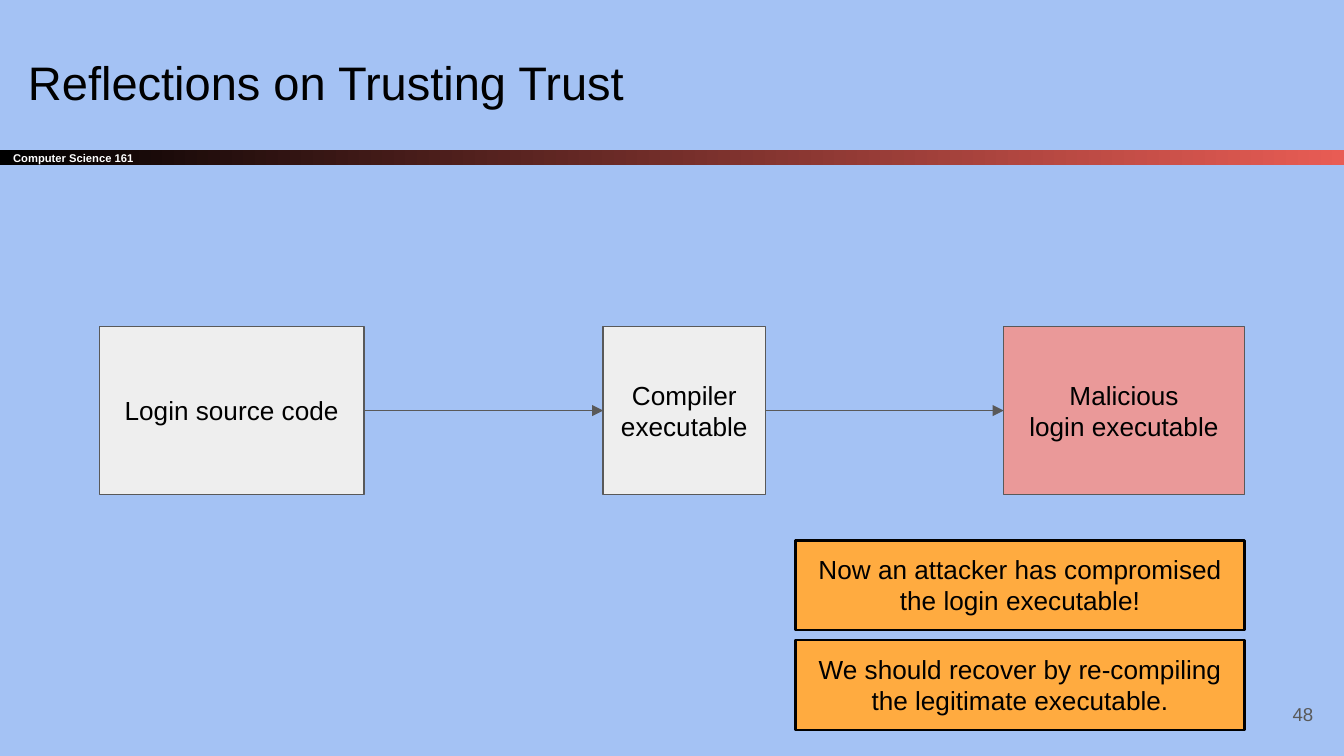
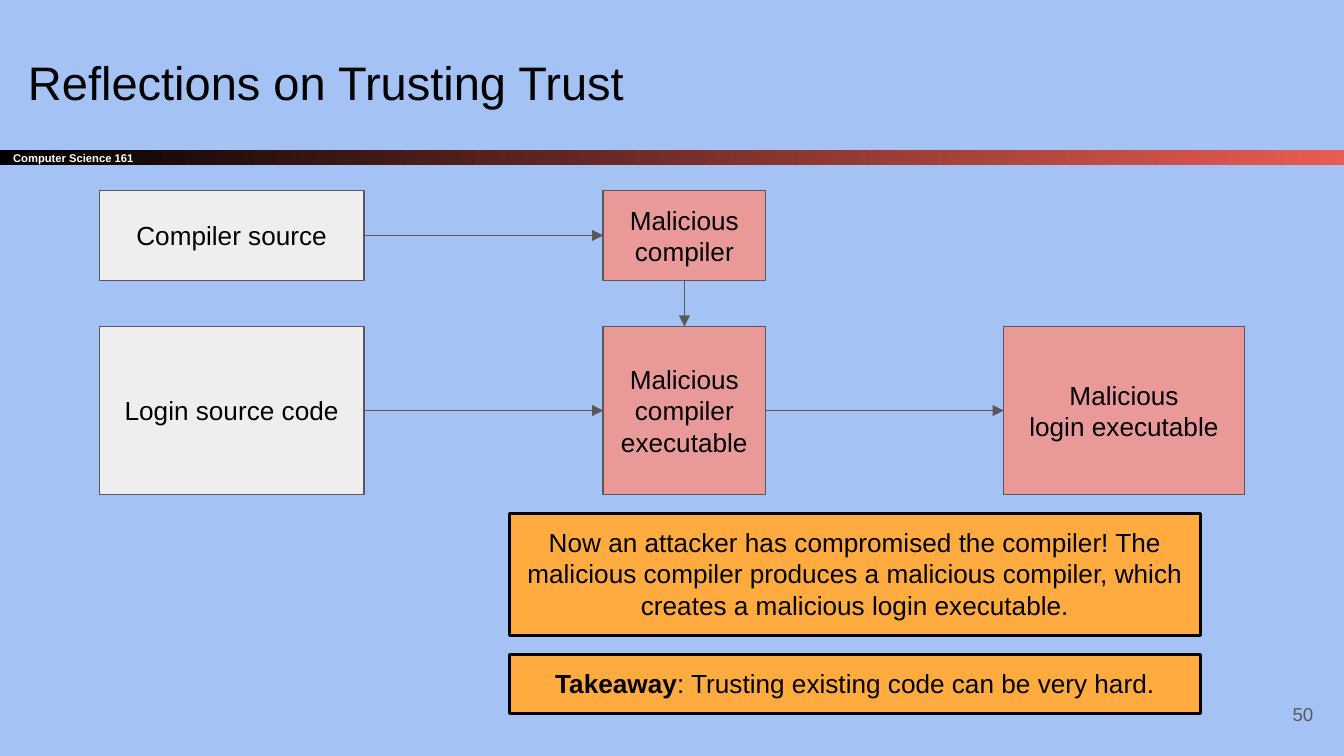
from dataclasses import dataclass

from lxml import etree
from pptx import Presentation
from pptx import util as u
from pptx.dml.color import RGBColor
from pptx.enum import shapes, text
from pptx.oxml import ns

SKY = RGBColor(0xA4, 0xC2, 0xF4)
BLACK = RGBColor(0, 0, 0)
WHITE = RGBColor(0xFF, 0xFF, 0xFF)
CORAL = RGBColor(0xE8, 0x5C, 0x54)
GREY = RGBColor(0x59, 0x59, 0x59)
NEUTRAL = RGBColor(0xEE, 0xEE, 0xEE)
MALICIOUS = RGBColor(0xEA, 0x99, 0x99)
ORANGE = RGBColor(0xFF, 0xAB, 0x40)

FONT = "Arial"
WIDTH, HEIGHT = 25.4, 14.29
TITLE = "Reflections on Trusting Trust"
COURSE = "Computer Science 161"
TOP, LEFT, BOTTOM, RIGHT = range(4)  # connection sites of a rectangle


@dataclass(frozen=True)
class Style:
    """Character and paragraph look of a text."""
    size: float
    color: RGBColor = BLACK
    bold: bool = False
    align: text.PP_ALIGN = text.PP_ALIGN.LEFT
    anchor: text.MSO_ANCHOR = text.MSO_ANCHOR.MIDDLE


@dataclass(frozen=True)
class Area:
    """A rectangle on the slide, in centimetres."""
    left: float
    top: float
    width: float
    height: float

    def lengths(self):
        """Return the four values as lengths."""
        return [u.Cm(v) for v in (self.left, self.top, self.width, self.height)]


@dataclass(frozen=True)
class Stage:
    """A box of the build chain; each line of its label is a paragraph."""
    column: tuple[float, float]
    row: tuple[float, float]
    label: str
    fill: RGBColor = NEUTRAL


@dataclass(frozen=True)
class Note:
    """An orange remark with an optional bold lead."""
    area: Area
    body: str
    lead: str = ""


TITLE_STYLE = Style(25.2, anchor=text.MSO_ANCHOR.TOP)
COURSE_STYLE = Style(6, WHITE, bold=True)
NUMBER_STYLE = Style(10, GREY, align=text.PP_ALIGN.RIGHT)
STAGE_STYLE = Style(14, align=text.PP_ALIGN.CENTER)
NOTE_STYLE = Style(14, align=text.PP_ALIGN.CENTER, anchor=text.MSO_ANCHOR.TOP)

# Columns are (left, width), rows are (top, height).
SOURCE_COL, COMPILER_COL, OUTPUT_COL = (1.88, 5), (11.4, 3.07), (18.97, 4.55)
COMPILER_ROW, LOGIN_ROW = (3.6, 1.7), (6.17, 3.18)

LOGIN_SOURCE = Stage(SOURCE_COL, LOGIN_ROW, "Login source code")
BAD_LOGIN = Stage(OUTPUT_COL, LOGIN_ROW, "Malicious\vlogin executable", MALICIOUS)


def add_run(paragraph, words: str, style: Style, bold: bool) -> None:
    """Append one formatted run."""
    run = paragraph.add_run()
    run.text = words
    run.font.name = FONT
    run.font.size = u.Pt(style.size)
    run.font.color.rgb = style.color
    run.font.bold = bold


def write(shape, words: str, style: Style, lead: str = "") -> None:
    """Fill a shape with text: newline is a paragraph, \\v a line break."""
    frame = shape.text_frame
    frame.word_wrap = True
    frame.vertical_anchor = style.anchor
    frame.margin_left = frame.margin_right = u.Cm(0.25)
    frame.margin_top = frame.margin_bottom = u.Cm(0.25)
    for i, line in enumerate(words.split("\n")):
        paragraph = frame.add_paragraph() if i else frame.paragraphs[0]
        paragraph.alignment = style.align
        if lead and not i:
            add_run(paragraph, lead, style, True)
        for j, part in enumerate(line.split("\v")):
            if j:
                paragraph.add_line_break()
            add_run(paragraph, part, style, style.bold)


def add_box(slide, area: Area):
    """Add a rectangle without a shadow."""
    box = slide.shapes.add_shape(shapes.MSO_SHAPE.RECTANGLE, *area.lengths())
    box.shadow.inherit = False
    return box


def paint(box, fill: RGBColor, line: RGBColor, weight: float) -> None:
    """Set a solid fill and an outline."""
    box.fill.solid()
    box.fill.fore_color.rgb = fill
    box.line.color.rgb = line
    box.line.width = u.Pt(weight)


def add_stage(slide, stage: Stage):
    """Draw a box of the build chain."""
    (left, width), (top, height) = stage.column, stage.row
    box = add_box(slide, Area(left, top, width, height))
    paint(box, stage.fill, GREY, 0.75)
    write(box, stage.label, STAGE_STYLE)
    return box


def add_note(slide, note: Note) -> None:
    """Draw an orange remark."""
    box = add_box(slide, note.area)
    paint(box, ORANGE, BLACK, 1.5)
    write(box, note.body, NOTE_STYLE, note.lead)


def add_arrow(slide, start, end, out_site: int = RIGHT, in_site: int = LEFT) -> None:
    """Join two boxes with an arrow."""
    arrow = slide.shapes.add_connector(shapes.MSO_CONNECTOR.STRAIGHT, 0, 0, 0, 0)
    arrow.begin_connect(start, out_site)
    arrow.end_connect(end, in_site)
    arrow.line.color.rgb = GREY
    arrow.line.width = u.Pt(0.75)
    etree.SubElement(arrow.line._get_or_add_ln(), ns.qn("a:tailEnd"), type="triangle")
    etree.SubElement(arrow._element.spPr, ns.qn("a:effectLst"))


def add_band(slide) -> None:
    """Draw the gradient band with the course name."""
    band = add_box(slide, Area(0, 2.83, WIDTH, 0.3))
    band.fill.gradient()
    band.fill.gradient_angle = 0
    for stop, color, position in zip(band.fill.gradient_stops, (BLACK, CORAL), (0, 1)):
        stop.color.rgb = color
        stop.position = position
    band.line.fill.background()
    write(band, COURSE, COURSE_STYLE)


def add_slide(deck, number: int):
    """Start a slide with background, band, title and number."""
    slide = deck.slides.add_slide(deck.slide_layouts[6])
    slide.background.fill.solid()
    slide.background.fill.fore_color.rgb = SKY
    add_band(slide)
    title = slide.shapes.add_textbox(*Area(0.28, 0.76, 23.67, 1.6).lengths())
    write(title, TITLE, TITLE_STYLE)
    page = slide.shapes.add_textbox(*Area(23.55, 12.95, 1.52, 1.09).lengths())
    write(page, str(number), NUMBER_STYLE)
    return slide


def add_login_chain(slide, compiler: Stage):
    """Draw source, compiler and login executable; return the compiler box."""
    source, middle, output = [
        add_stage(slide, stage) for stage in (LOGIN_SOURCE, compiler, BAD_LOGIN)
    ]
    add_arrow(slide, source, middle)
    add_arrow(slide, middle, output)
    return middle


def build_login_attack(deck) -> None:
    """Slide on the compromised login executable."""
    slide = add_slide(deck, 48)
    remarks = (
        "Now an attacker has compromised the login executable!",
        "We should recover by re-compiling the legitimate executable.",
    )
    for i, remark in enumerate(remarks):
        add_note(slide, Note(Area(15.04, 10.21 + 1.89 * i, 8.48, 1.7), remark))
    add_login_chain(slide, Stage(COMPILER_COL, LOGIN_ROW, "Compiler executable"))


def build_compiler_attack(deck) -> None:
    """Slide on the compromised compiler."""
    slide = add_slide(deck, 50)
    executable = add_login_chain(slide, Stage(
        COMPILER_COL, LOGIN_ROW, "Malicious\ncompiler\nexecutable", MALICIOUS))
    source = add_stage(slide, Stage(SOURCE_COL, COMPILER_ROW, "Compiler source"))
    compiler = add_stage(slide, Stage(
        COMPILER_COL, COMPILER_ROW, "Malicious compiler", MALICIOUS))
    add_arrow(slide, source, compiler)
    add_arrow(slide, compiler, executable, BOTTOM, TOP)
    add_note(slide, Note(
        Area(9.63, 9.7, 13.06, 2.31),
        "Now an attacker has compromised the compiler! The malicious compiler "
        "produces a malicious compiler, which creates a malicious login executable."))
    add_note(slide, Note(
        Area(9.63, 12.37, 13.06, 1.12),
        ": Trusting existing code can be very hard.", lead="Takeaway"))


def main() -> None:
    """Build and save the deck."""
    deck = Presentation()
    deck.slide_width, deck.slide_height = u.Cm(WIDTH), u.Cm(HEIGHT)
    build_login_attack(deck)
    build_compiler_attack(deck)
    deck.save("out.pptx")


main()
